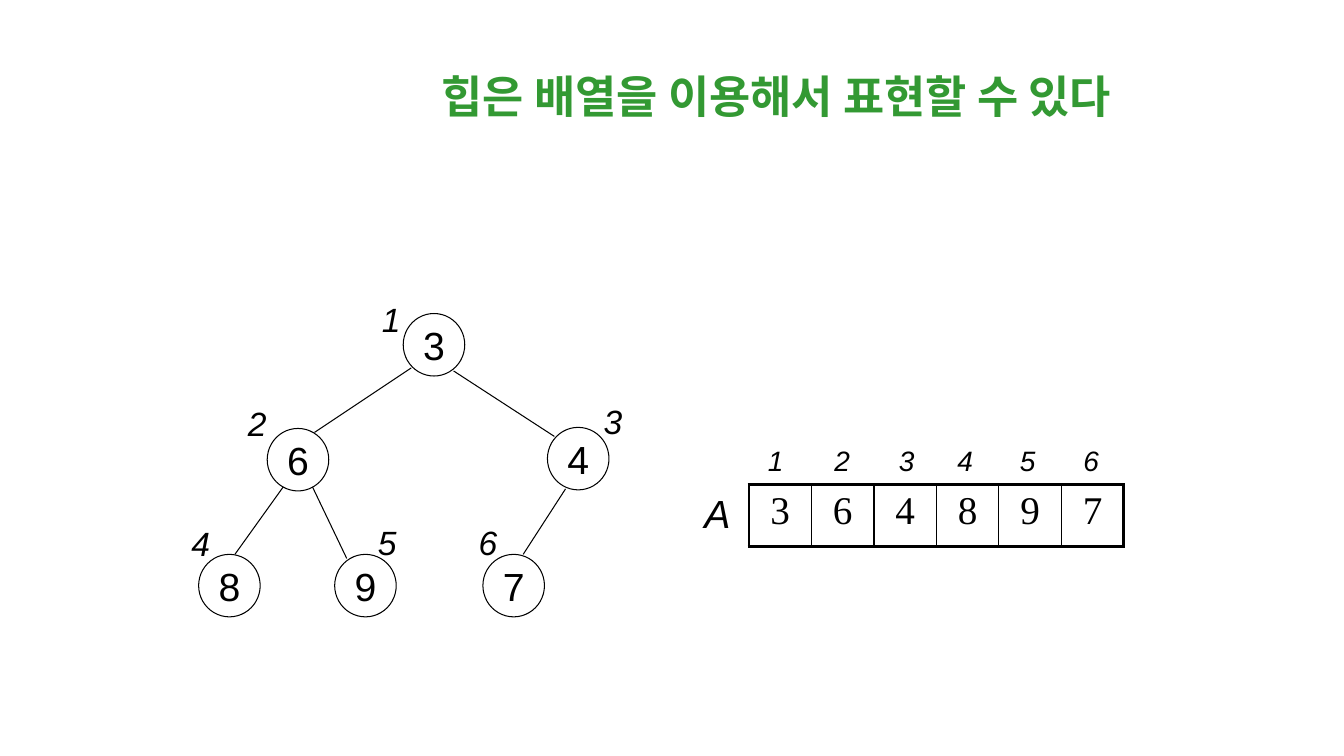
"""Build a slide that shows a heap as a tree and as an array."""
import lxml.etree
import pptx
import pptx.dml.color
import pptx.enum.shapes
import pptx.enum.text
import pptx.oxml.ns
import pptx.util

COLORS = {"ink": "000000", "title": "339933"}
INK = pptx.dml.color.RGBColor.from_string(COLORS["ink"])
CENTER = pptx.enum.text.PP_ALIGN.CENTER
MIDDLE = pptx.enum.text.MSO_ANCHOR.MIDDLE
qn = pptx.oxml.ns.qn

deck = pptx.Presentation()
deck.slide_width = pptx.util.Inches(13.333)
deck.slide_height = pptx.util.Inches(7.5)
slide = deck.slides.add_slide(deck.slide_layouts[6])


def place(*shares):
    """Turn alternating x and y percentages of the slide into lengths."""
    sides = (deck.slide_width, deck.slide_height)
    return [int(sides[i % 2] * share / 100) for i, share in enumerate(shares)]


def write(frame, text, size, face="Arial", italic=False, color="ink"):
    """Write one styled paragraph into a text frame."""
    line = frame.paragraphs[0]
    line.text = text
    line.font.size = pptx.util.Pt(size)
    line.font.name = face
    line.font.italic = italic
    line.font.color.rgb = pptx.dml.color.RGBColor.from_string(COLORS[color])
    return line


heap = ["3", "6", "4", "8", "9", "7"]
node_spots = [(30, 41.47), (19.88, 56.67), (40.73, 56.53),
              (14.78, 73.33), (24.9, 73.33), (35.93, 73.33)]
for key, (left, top) in zip(heap, node_spots):
    node = slide.shapes.add_shape(pptx.enum.shapes.MSO_SHAPE.OVAL, *place(left, top, 4.58, 8.27))
    node.shadow.inherit = False
    node.fill.background()
    node.line.color.rgb = INK
    node.line.width = pptx.util.Pt(0.75)
    frame = node.text_frame
    frame.margin_left = frame.margin_right = frame.margin_top = frame.margin_bottom = 0
    frame.word_wrap = False
    frame.vertical_anchor = MIDDLE
    write(frame, key, 28).alignment = CENTER

edges = [(30.6, 48.67, 23.4, 57.2), (33.75, 49.07, 41.25, 57.73),
         (21.08, 64.4, 17.48, 73.33), (23.25, 64.4, 25.8, 73.87),
         (42.08, 64.67, 38.93, 73.33)]
for ends in edges:
    edge = slide.shapes.add_connector(pptx.enum.shapes.MSO_CONNECTOR.STRAIGHT, *place(*ends))
    edge.line.color.rgb = INK
    edge.line.width = pptx.util.Pt(0.75)
    lxml.etree.SubElement(edge._element.spPr, qn("a:effectLst"))

node_index_spots = [(27.68, 38.93), (17.7, 52.67), (44.18, 52.4),
                    (13.5, 68.53), (27.38, 68.4), (34.88, 68.4)]
array_index_lefts = [56.4, 61.35, 66.15, 70.5, 75.15, 79.88]
labels = [("A", 28, 51.68, 64.13, 3.45, 7.6)]
for number, (left, top) in enumerate(node_index_spots, 1):
    labels.append((str(number), 24, left, top, 2.93, 6.67))
for number, left in enumerate(array_index_lefts, 1):
    labels.append((str(number), 20, left, 58, 2.7, 5.73))
for text, size, *area in labels:
    label = slide.shapes.add_textbox(*place(*area))
    label.text_frame.word_wrap = False
    write(label.text_frame, text, size, italic=True)

array = slide.shapes.add_table(1, len(heap), *place(55.73, 64.13, 27.9, 8.13)).table
array.first_row = array.horz_banding = False
for column, key in enumerate(heap):
    cell = array.cell(0, column)
    write(cell.text_frame, key, 28, "Times New Roman").alignment = CENTER
    borders = {"lnL": 2.25 if column == 0 else 1,
               "lnR": 2.25 if column == len(heap) - 1 else 1,
               "lnT": 2.25, "lnB": 2.25}
    properties = cell._tc.get_or_add_tcPr()
    for side, width in borders.items():
        border = lxml.etree.SubElement(properties, qn("a:" + side), w=str(pptx.util.Pt(width)))
        fill = lxml.etree.SubElement(border, qn("a:solidFill"))
        lxml.etree.SubElement(fill, qn("a:srgbClr"), val=COLORS["ink"])
    cell.fill.background()

title = slide.shapes.add_textbox(*place(28.05, 6.27, 59.48, 12.8))
title.text_frame.word_wrap = True
title.text_frame.vertical_anchor = MIDDLE
heading = write(title.text_frame, "힙은 배열을 이용해서 표현할 수 있다", 32, "Times New Roman", color="title")
heading.alignment = CENTER
heading.font.bold = True

deck.save("out.pptx")
